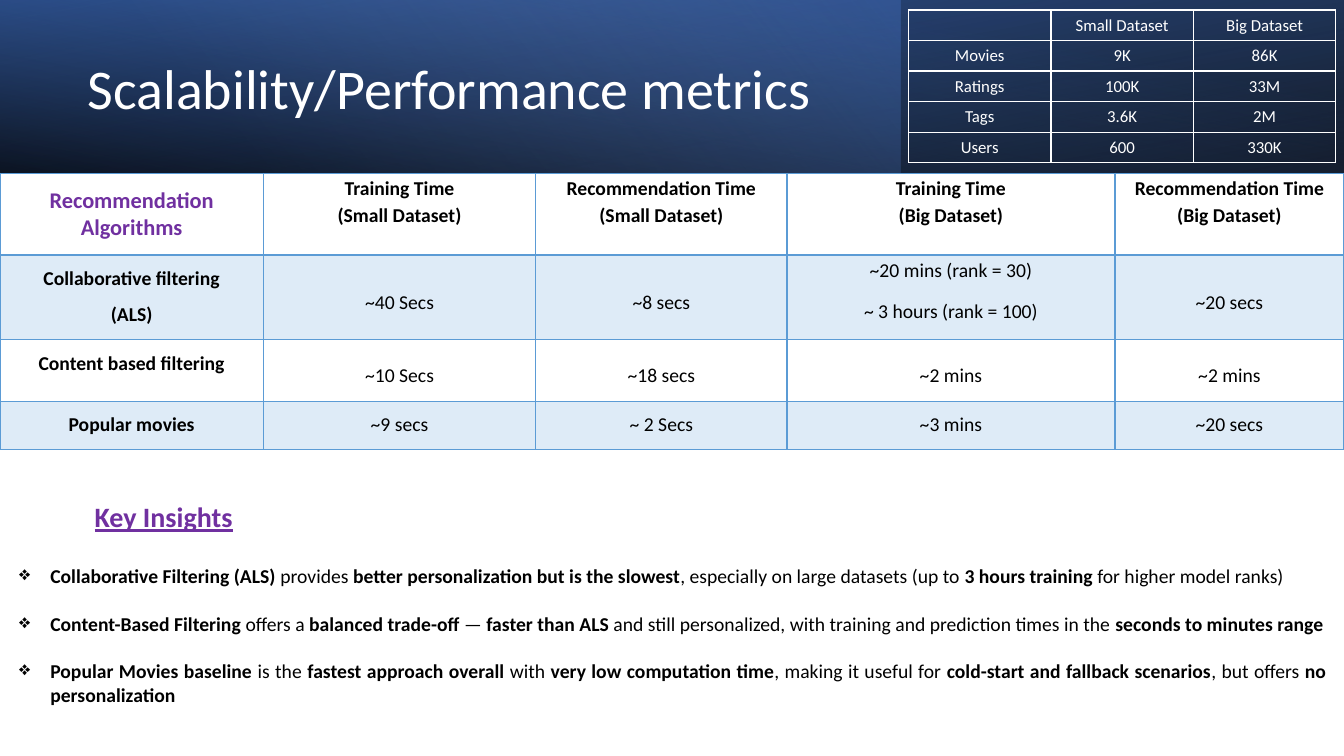
from lxml.etree import SubElement
from pptx import Presentation
from pptx.dml.color import RGBColor
from pptx.enum.shapes import MSO_SHAPE
from pptx.enum.text import MSO_ANCHOR, PP_ALIGN
from pptx.oxml import parse_xml
from pptx.oxml.ns import nsdecls, qn
from pptx.util import Inches, Pt

WIDE, HIGH = Inches(13.33), Inches(7.5)
FONT = "Calibri"
WHITE, BLACK, BLUE, PALE, PLUM = "FFFFFF", "000000", "5B9BD5", "DEEBF7", "7030A0"

LAYERS = [
    (1, 180, True, 100, [(0, "000000", 96), (100, "2F5597", 100)]),
    (0.67, 0, False, 140, [(0, "4472C4", 41), (74, "8FAADC", 0)]),
    (1, 0, True, 260, [(0, "000000", 63), (78, "4472C4", 15)]),
]
SIZES = [
    ["", "Small Dataset", "Big Dataset"],
    ["Movies", "9K", "86K"],
    ["Ratings", "100K", "33M"],
    ["Tags", "3.6K", "2M"],
    ["Users", "600", "330K"],
]
TIMES = [
    ["Recommendation\nAlgorithms", "Training Time\n(Small Dataset)",
     "Recommendation Time (Small Dataset)", "Training Time\n(Big Dataset)",
     "Recommendation Time (Big Dataset)"],
    ["Collaborative filtering\n(ALS)", "~40 Secs", "~8 secs",
     "~20 mins (rank = 30)\n~ 3 hours (rank = 100)", "~20 secs"],
    ["Content based filtering", "~10 Secs", "~18 secs", "~2 mins", "~2 mins"],
    ["Popular movies", "~9 secs", "~ 2 Secs", "~3 mins", "~20 secs"],
]
COLS = [2.61, 2.7, 2.49, 3.25, 2.27]
ROWS = [0.81, 0.84, 0.61, 0.48]
LEADS = [1.15, 2.5, 2, 1.5]
POINTS = [
    "*Collaborative Filtering (ALS)* provides *better personalization but is the slowest*"
    ", especially on large datasets (up to *3 hours training* for higher model ranks)",
    "*Content-Based Filtering* offers a *balanced trade-off* — *faster than ALS* and still "
    "personalized, with training and prediction times in the *seconds to minutes range*",
    "*Popular Movies baseline* is the *fastest approach overall* with *very low computation "
    "time*, making it useful for *cold-start and fallback scenarios*, but offers *no "
    "personalization*",
]


def area(left, top, width, height):
    return (int(WIDE * left / 100), int(HIGH * top / 100),
            int(WIDE * width / 100), int(HIGH * height / 100))


def paint(color, tint):
    color.rgb = RGBColor.from_string(tint)


def style(font, size, tint, bold=False):
    font.name, font.size, font.bold = FONT, Pt(size), bold
    paint(font.color, tint)


def banner(slide, box):
    left, top, width, height = box
    for share, turn, flip, angle, stops in LAYERS:
        shape = slide.shapes.add_shape(
            MSO_SHAPE.RECTANGLE, left, top, int(width * share), height)
        shape.shadow.inherit = False
        shape.line.fill.background()
        shape.fill.background()
        shape.rotation = turn
        props = shape._element.spPr
        if flip:
            props.find(qn("a:xfrm")).set("flipH", "1")
        marks = "".join(
            f'<a:gs pos="{pos * 1000}"><a:srgbClr val="{tint}">'
            f'<a:alpha val="{alpha * 1000}"/></a:srgbClr></a:gs>'
            for pos, tint, alpha in stops)
        fill = parse_xml(
            f'<a:gradFill {nsdecls("a")} rotWithShape="1"><a:gsLst>{marks}</a:gsLst>'
            f'<a:lin ang="{angle * 60000}" scaled="0"/></a:gradFill>')
        props.replace(props.find(qn("a:noFill")), fill)


def title(slide, box):
    frame = slide.shapes.add_textbox(*box).text_frame
    frame.word_wrap = True
    frame.vertical_anchor = MSO_ANCHOR.MIDDLE
    para = frame.paragraphs[0]
    para.text = "Scalability/Performance metrics"
    para.line_spacing = 0.9
    style(para.runs[0].font, 40, WHITE)


def border(cell, tint, widths):
    props = cell._tc.get_or_add_tcPr()
    for side, width in zip("LRTB", widths):
        line = SubElement(props, qn(f"a:ln{side}"), w=str(Pt(width)))
        fill = SubElement(line, qn("a:solidFill"))
        SubElement(fill, qn("a:srgbClr"), val=tint)


def grid(slide, box, data, cols, rows):
    table = slide.shapes.add_table(len(rows), len(cols), *box).table
    table.first_row = table.horz_banding = False
    for col, share in zip(table.columns, cols):
        col.width = int(box[2] * share / sum(cols))
    for row, share in zip(table.rows, rows):
        row.height = int(box[3] * share / sum(rows))
    for r, texts in enumerate(data):
        for c, text in enumerate(texts):
            cell = table.cell(r, c)
            cell.text_frame.text = text
            for para in cell.text_frame.paragraphs:
                para.alignment = PP_ALIGN.CENTER
            yield r, c, cell


def counts(slide, box):
    for r, c, cell in grid(slide, box, SIZES, [1] * 3, [1] * 5):
        border(cell, WHITE, [1] * 4)
        cell.fill.background()
        para = cell.text_frame.paragraphs[0]
        para._p.get_or_add_endParaRPr().set("sz", "1200")
        for run in para.runs:
            style(run.font, 12, WHITE)


def timing(slide, box):
    for r, c, cell in grid(slide, box, TIMES, COLS, ROWS):
        border(cell, BLUE, [1, 1, 2 if r == 1 else 1, 1 if r else 2])
        if r % 2:
            cell.fill.solid()
            paint(cell.fill.fore_color, PALE)
        else:
            cell.fill.background()
        cell.margin_left = cell.margin_right = Inches(0.11)
        cell.margin_top = cell.margin_bottom = 0
        paras = cell.text_frame.paragraphs
        corner = r == c == 0
        for i, para in enumerate(paras):
            lead = LEADS[r]
            if c == 0:
                lead = 1 if corner and i else 1.5
            elif r and len(paras) > 1:
                lead = 1.15
            para.line_spacing = lead
            if r and (c or r > 1):
                para.space_after = Pt(10)
            style(para.runs[0].font, 16 if corner else 14,
                  PLUM if corner else BLACK, r == 0 or c == 0)


def tab(para, stop):
    stops = SubElement(para._p.get_or_add_pPr(), qn("a:tabLst"))
    SubElement(stops, qn("a:tab"), pos=str(Inches(stop)), algn="l")


def insights(slide, box):
    frame = slide.shapes.add_textbox(*box).text_frame
    frame.word_wrap = True
    heads = [("\t", 0.28, 18, BLACK), ("\tKey Insights", 0.75, 20, PLUM)]
    for i, (text, stop, size, tint) in enumerate(heads):
        para = frame.add_paragraph() if i else frame.paragraphs[0]
        tab(para, stop)
        para.text = text
        for run in para.runs:
            style(run.font, size, tint, True)
            run.font.underline = True
    for i, point in enumerate(POINTS):
        para = frame.add_paragraph()
        props = para._p.get_or_add_pPr()
        props.set("marL", str(Inches(0.31)))
        props.set("indent", str(-Inches(0.31)))
        SubElement(props, qn("a:buChar"), char="❖")
        para.alignment = PP_ALIGN.JUSTIFY
        para.space_before = Pt(17 if i else 22)
        for k, part in enumerate(point.split("*")):
            if part:
                run = para.add_run()
                run.text = part
                style(run.font, 14, BLACK, k % 2 == 1)


def main():
    deck = Presentation()
    deck.slide_width, deck.slide_height = WIDE, HIGH
    slide = deck.slides.add_slide(deck.slide_layouts[6])
    banner(slide, area(0, 0, 100, 22.93))
    title(slide, area(5.78, 3.6, 57.91, 16.93))
    timing(slide, area(0, 22.93, 100, 36.53))
    insights(slide, area(0.68, 61.47, 98.72, 32.8))
    counts(slide, area(67.6, 1.33, 31.8, 20.2))
    deck.save("out.pptx")


if __name__ == "__main__":
    main()
